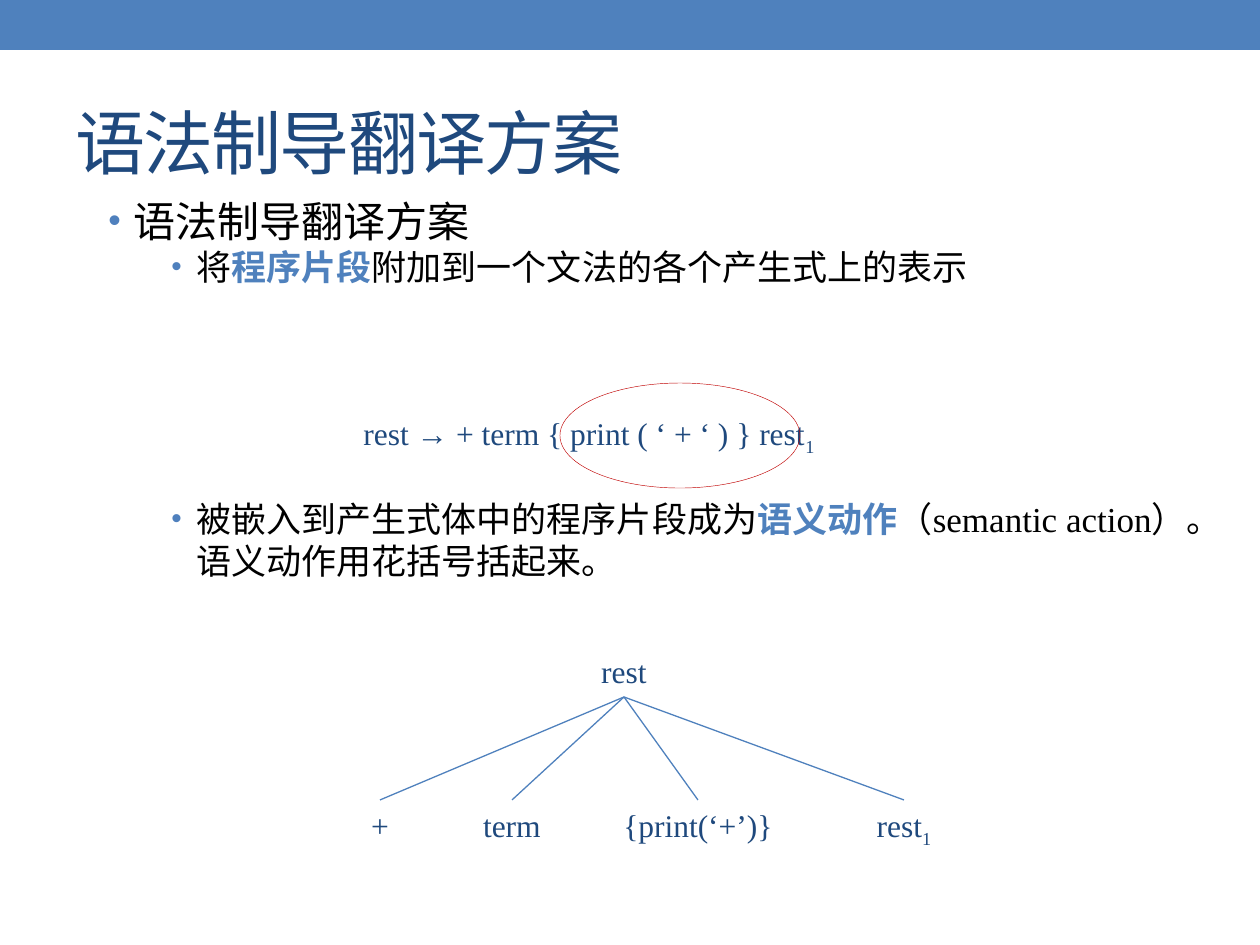
from lxml.etree import SubElement
from pptx import Presentation
from pptx.dml.color import RGBColor
from pptx.enum.shapes import MSO_CONNECTOR, MSO_SHAPE
from pptx.enum.text import MSO_ANCHOR, PP_ALIGN
from pptx.oxml.ns import qn
from pptx.util import Pt

EMU_PER_PX = 914400 / 126
FONT = "Times New Roman"
NAVY, BLUE, BULLET_BLUE, RED, BLACK = "1F497D", "4F81BD", "4F80BD", "C00000", "000000"


def px(length):
    return round(length * EMU_PER_PX)


def color(value):
    return RGBColor.from_string(value)


class SlideBuilder:
    def __init__(self, slide):
        self.slide = slide

    def shape(self, kind, box, fill=None, line=None, line_width=0.25):
        shape = self.slide.shapes.add_shape(kind, *map(px, box))
        shape.shadow.inherit = False
        if fill:
            shape.fill.solid()
            shape.fill.fore_color.rgb = color(fill)
        else:
            shape.fill.background()
        if line:
            shape.line.color.rgb = color(line)
            shape.line.width = Pt(line_width)
        else:
            shape.line.fill.background()
        return shape

    def text_box(self, box, wrap=True, anchor=MSO_ANCHOR.TOP):
        shape = self.slide.shapes.add_textbox(*map(px, box))
        shape.text_frame.word_wrap = wrap
        shape.text_frame.vertical_anchor = anchor
        return shape

    def style(self, paragraph, size, font_color):
        paragraph.font.name = FONT
        paragraph.font.size = Pt(size)
        paragraph.font.color.rgb = color(font_color)

    def label(self, box, text, subscript="", size=18, align=PP_ALIGN.CENTER,
              wrap=True, anchor=MSO_ANCHOR.TOP, spacing=0):
        shape = self.text_box(box, wrap, anchor)
        paragraph = shape.text_frame.paragraphs[0]
        paragraph.alignment = align
        self.style(paragraph, size, NAVY)
        run = paragraph.add_run()
        run.text = text
        if spacing:
            run.font._element.set("spc", str(spacing))
        if subscript:
            run = paragraph.add_run()
            run.text = subscript
            run.font._element.set("baseline", "-25000")
        return shape

    def bullet(self, paragraph, parts, level, size, margin, space_before=0):
        paragraph.level = level
        if space_before:
            paragraph.space_before = Pt(space_before)
        properties = paragraph._p.get_or_add_pPr()
        properties.set("marL", str(px(margin)))
        properties.set("indent", str(px(-25)))
        bullet_color = SubElement(properties, qn("a:buClr"))
        SubElement(bullet_color, qn("a:srgbClr"), val=BULLET_BLUE)
        SubElement(properties, qn("a:buSzPct"), val="85000")
        SubElement(properties, qn("a:buFont"), typeface="Arial")
        SubElement(properties, qn("a:buChar"), char="•")
        self.style(paragraph, size, BLACK)
        for text, emphasized in parts:
            run = paragraph.add_run()
            run.text = text
            if emphasized:
                run.font.bold = True
                run.font.color.rgb = color(BLUE)

    def branch(self, parent, child):
        connector = self.slide.shapes.add_connector(MSO_CONNECTOR.STRAIGHT, 0, 0, 0, 0)
        connector.begin_connect(parent, 2)
        connector.end_connect(child, 0)
        connector.line.color.rgb = color(BLUE)
        connector.line.width = Pt(0.75)
        SubElement(connector._element.spPr, qn("a:effectLst"))


def main():
    presentation = Presentation()
    presentation.slide_width, presentation.slide_height = px(1260), px(945)
    builder = SlideBuilder(presentation.slides.add_slide(presentation.slide_layouts[6]))

    builder.shape(MSO_SHAPE.RECTANGLE, (0, 0, 1260, 50), fill=BLUE)

    body = builder.text_box((96, 189, 1119, 517)).text_frame
    bullets = [
        ([("语法制导翻译方案", False)], 0, 24, 25, 0),
        ([("将", False), ("程序片段", True),
          ("附加到一个文法的各个产生式上的表示", False)], 1, 20, 88, 0),
        ([("被嵌入到产生式体中的程序片段成为", False), ("语义动作", True),
          ("（semantic action）。语义动作用花括号括起来。", False)], 1, 20, 88, 120),
    ]
    for index, bullet in enumerate(bullets):
        paragraph = body.add_paragraph() if index else body.paragraphs[0]
        builder.bullet(paragraph, *bullet)

    builder.label((63, 73, 1134, 136), "语法制导翻译方案", size=40,
                  align=PP_ALIGN.LEFT, anchor=MSO_ANCHOR.MIDDLE, spacing=-100)
    builder.label((351, 408, 478, 51), "rest → + term { print ( ‘ + ‘ ) } rest", "1",
                  align=PP_ALIGN.LEFT, wrap=False)
    builder.shape(MSO_SHAPE.OVAL, (560, 383, 240, 105), line=RED)

    root = builder.label((568, 646, 112, 51), "rest")
    leaves = [
        (324, 112, "+", ""),
        (456, 112, "term", ""),
        (602, 192, "{print(‘+’)}", ""),
        (848, 112, "rest", "1"),
    ]
    for left, width, text, subscript in leaves:
        leaf = builder.label((left, 800, width, 51), text, subscript)
        builder.branch(root, leaf)

    presentation.save("out.pptx")


if __name__ == "__main__":
    main()
